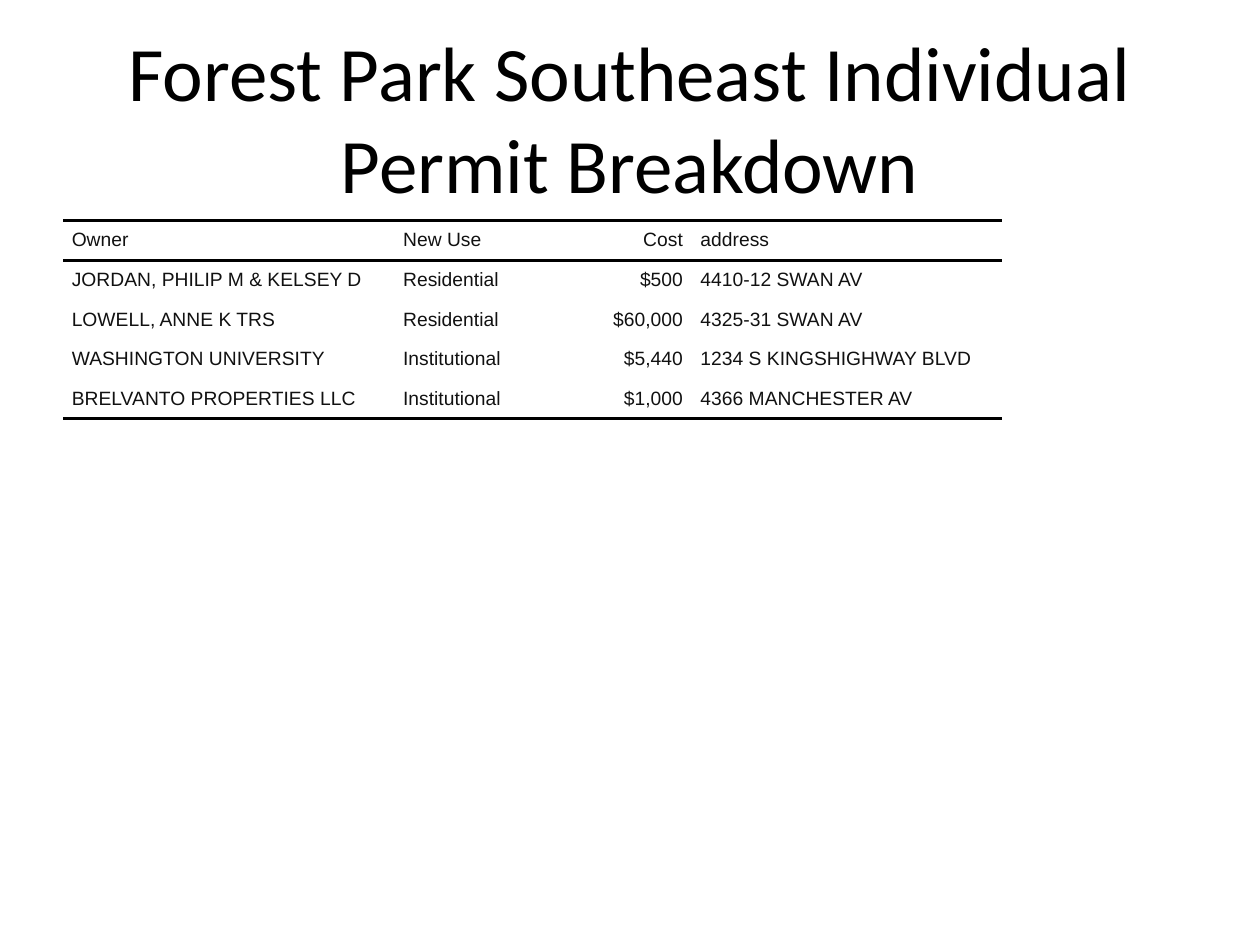
from lxml.etree import SubElement
from pptx import Presentation
from pptx.dml.color import RGBColor
from pptx.enum.text import MSO_ANCHOR, PP_ALIGN
from pptx.oxml.ns import qn
from pptx.util import Inches, Pt

TITLE = "Forest Park Southeast Individual Permit Breakdown"
PERMITS = [
    ("Owner", "New Use", "Cost", "address"),
    ("JORDAN, PHILIP M & KELSEY D", "Residential", "$500", "4410-12 SWAN AV"),
    ("LOWELL, ANNE K TRS", "Residential", "$60,000", "4325-31 SWAN AV"),
    ("WASHINGTON UNIVERSITY", "Institutional", "$5,440", "1234 S KINGSHIGHWAY BLVD"),
    ("BRELVANTO PROPERTIES LLC", "Institutional", "$1,000", "4366 MANCHESTER AV"),
]
COLUMN_WIDTHS = [2.63, 1.06, 1.3, 2.46]
COST_COLUMN = 2
COLORS = {"title": "000000", "text": "111111", "rule": "000000"}


def set_font(paragraph, name, size, color):
    paragraph.font.name = name
    paragraph.font.size = Pt(size)
    paragraph.font.color.rgb = RGBColor.from_string(COLORS[color])


def set_borders(cell, ruled_edges):
    """Rule the named edges (T, B) and clear the others."""
    properties = cell._tc.get_or_add_tcPr()
    for edge in "LRTB":
        line = SubElement(properties, qn(f"a:ln{edge}"), w=str(Pt(2)))
        if edge in ruled_edges:
            fill = SubElement(line, qn("a:solidFill"))
            SubElement(fill, qn("a:srgbClr"), val=COLORS["rule"])
        else:
            SubElement(line, qn("a:noFill"))


def add_title(page):
    title = page.shapes.title
    title.left, title.top = Inches(0.5), Inches(0.3)
    title.width, title.height = Inches(9), Inches(1.25)
    title.text_frame.text = TITLE
    title.text_frame.vertical_anchor = MSO_ANCHOR.MIDDLE
    paragraph = title.text_frame.paragraphs[0]
    paragraph.alignment = PP_ALIGN.CENTER
    set_font(paragraph, "Calibri", 44, "title")


def add_permit_table(page):
    table = page.shapes.add_table(
        len(PERMITS), len(COLUMN_WIDTHS), Inches(0.5), Inches(1.75),
        Inches(sum(COLUMN_WIDTHS)), Inches(1.57)).table
    table.first_row = table.horz_banding = False
    for column, width in zip(table.columns, COLUMN_WIDTHS):
        column.width = Inches(width)

    ruled_edges = {0: "TB", 1: "T", len(PERMITS) - 1: "B"}
    for row, values in enumerate(PERMITS):
        for column, value in enumerate(values):
            cell = table.cell(row, column)
            cell.text = value
            cell.vertical_anchor = MSO_ANCHOR.MIDDLE
            cell.margin_left = cell.margin_right = Inches(0.07)
            cell.margin_top = cell.margin_bottom = 0
            set_borders(cell, ruled_edges.get(row, ""))
            cell.fill.background()
            paragraph = cell.text_frame.paragraphs[0]
            paragraph.alignment = PP_ALIGN.RIGHT if column == COST_COLUMN else PP_ALIGN.LEFT
            set_font(paragraph, "Arial", 11, "text")


def main():
    deck = Presentation()
    deck.slide_width, deck.slide_height = Inches(10), Inches(7.5)
    page = deck.slides.add_slide(deck.slide_layouts[5])
    add_title(page)
    add_permit_table(page)
    deck.save("out.pptx")


if __name__ == "__main__":
    main()
